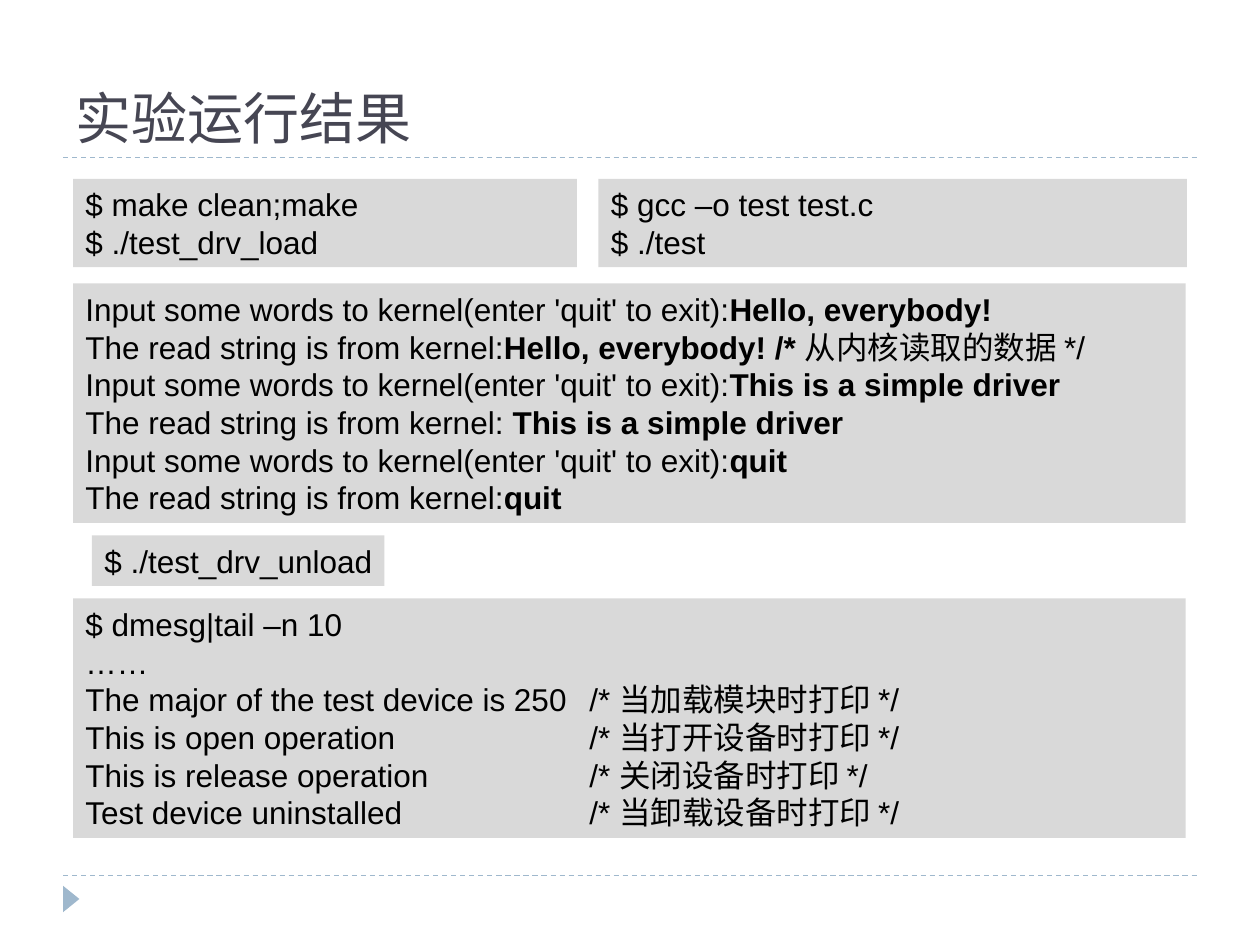
"""Build the slide that lists the console results of the driver experiment."""
from dataclasses import dataclass

from lxml import etree
from pptx import Presentation
from pptx.dml.color import RGBColor
from pptx.enum import dml, shapes, text
from pptx.oxml import ns
from pptx.util import Inches, Pt


@dataclass(frozen=True)
class Theme:
    font: str = "Arial"
    title_size: float = 32
    body_size: float = 18
    line_pitch: float = 21.5
    title_color: RGBColor = RGBColor(0x46, 0x46, 0x53)
    body_color: RGBColor = RGBColor(0, 0, 0)
    panel_color: RGBColor = RGBColor(0xD9, 0xD9, 0xD9)
    accent_color: RGBColor = RGBColor(0x9F, 0xB8, 0xCD)


@dataclass(frozen=True)
class Span:
    wording: str
    bold: bool = False


@dataclass(frozen=True)
class Panel:
    left: float
    top: float
    width: float
    height: float
    lines: list[list[Span]]
    right_margin: float = 0.1


THEME = Theme()
LEFT, FULL_WIDTH = 0.58, 8.83
PROMPT = "Input some words to kernel(enter 'quit' to exit):"
REPLY = "The read string is from kernel:"
SIMPLE = "This is a simple driver"


def plain(*lines: str) -> list[list[Span]]:
    return [[Span(line)] for line in lines]


def exchange(prompt: str, reply: str, answer: str) -> list[list[Span]]:
    return [[Span(prompt), Span(answer, True)], [Span(reply), Span(answer, True)]]


SESSION = [
    [Span(PROMPT), Span("Hello, everybody!", True)],
    [Span(REPLY), Span("Hello, everybody! /* ", True), Span("从内核读取的数据 */")],
    *exchange(PROMPT, REPLY + " ", SIMPLE),
    *exchange(PROMPT, REPLY, "quit"),
]

PANELS = [
    Panel(LEFT, 1.42, 4, 0.7, plain("$ make clean;make", "$ ./test_drv_load")),
    Panel(4.75, 1.42, 4.67, 0.7, plain("$ gcc –o test test.c", "$ ./test")),
    Panel(LEFT, 2.25, FULL_WIDTH, 1.9, SESSION),
    Panel(0.73, 4.25, 2.32, 0.4, plain("$ ./test_drv_unload"), right_margin=0),
    Panel(LEFT, 4.75, FULL_WIDTH, 1.9, plain(
        "$ dmesg|tail –n 10",
        "……",
        "The major of the test device is 250\t/* 当加载模块时打印 */",
        "This is open operation\t\t/* 当打开设备时打印 */",
        "This is release operation\t\t/* 关闭设备时打印 */",
        "Test device uninstalled\t\t/* 当卸载设备时打印 */",
    )),
]


def format_font(font, size: float, color: RGBColor, bold: bool = False) -> None:
    font.name = THEME.font
    font.size = Pt(size)
    font.bold = bold
    font.color.rgb = color


def add_tab_stops(paragraph) -> None:
    properties = paragraph._p.get_or_add_pPr()
    tab_list = etree.SubElement(properties, ns.qn("a:tabLst"))
    for inch in range(8):
        etree.SubElement(tab_list, ns.qn("a:tab"), pos=str(Inches(inch)), algn="l")


def add_filled_shape(slide, kind, box: tuple[float, ...], color: RGBColor):
    shape = slide.shapes.add_shape(kind, *map(Inches, box))
    shape.shadow.inherit = False
    shape.fill.solid()
    shape.fill.fore_color.rgb = color
    shape.line.fill.background()
    return shape


def add_rule(slide, y: float) -> None:
    rule = slide.shapes.add_connector(
        shapes.MSO_CONNECTOR.STRAIGHT, Inches(0.5), Inches(y), Inches(9.5), Inches(y))
    rule.line.color.rgb = THEME.accent_color
    rule.line.width = Pt(0.75)
    rule.line.dash_style = dml.MSO_LINE.DASH
    etree.SubElement(rule._element.spPr, ns.qn("a:effectLst"))


def add_panel(slide, panel: Panel) -> None:
    box = (panel.left, panel.top, panel.width, panel.height)
    shape = add_filled_shape(slide, shapes.MSO_SHAPE.RECTANGLE, box, THEME.panel_color)
    frame = shape.text_frame
    frame.word_wrap = True
    frame.margin_right = Inches(panel.right_margin)
    frame.auto_size = text.MSO_AUTO_SIZE.SHAPE_TO_FIT_TEXT
    frame.vertical_anchor = text.MSO_ANCHOR.MIDDLE
    for index, line in enumerate(panel.lines):
        paragraph = frame.add_paragraph() if index else frame.paragraphs[0]
        paragraph.alignment = text.PP_ALIGN.LEFT
        paragraph.line_spacing = Pt(THEME.line_pitch)
        add_tab_stops(paragraph)
        for span in line:
            run = paragraph.add_run()
            run.text = span.wording
            format_font(run.font, THEME.body_size, THEME.body_color, span.bold)


def set_title(slide, wording: str) -> None:
    title = slide.shapes.title
    title.left, title.top, title.width, title.height = map(Inches, (0.5, 0.17, 9, 1.08))
    frame = title.text_frame
    frame.text = wording
    frame.word_wrap = True
    frame.auto_size = text.MSO_AUTO_SIZE.NONE
    frame.vertical_anchor = text.MSO_ANCHOR.BOTTOM
    paragraph = frame.paragraphs[0]
    paragraph.alignment = text.PP_ALIGN.LEFT
    format_font(paragraph.runs[0].font, THEME.title_size, THEME.title_color)


def main() -> None:
    presentation = Presentation()
    presentation.slide_width, presentation.slide_height = Inches(10), Inches(7.5)
    slide = presentation.slides.add_slide(presentation.slide_layouts[5])
    for y in (6.95, 1.25):
        add_rule(slide, y)
    marker = add_filled_shape(slide, shapes.MSO_SHAPE.ISOSCELES_TRIANGLE,
                              (0.46, 7.07, 0.21, 0.13), THEME.accent_color)
    marker.rotation = 90
    set_title(slide, "实验运行结果")
    for panel in PANELS:
        add_panel(slide, panel)
    presentation.save("out.pptx")


if __name__ == "__main__":
    main()
